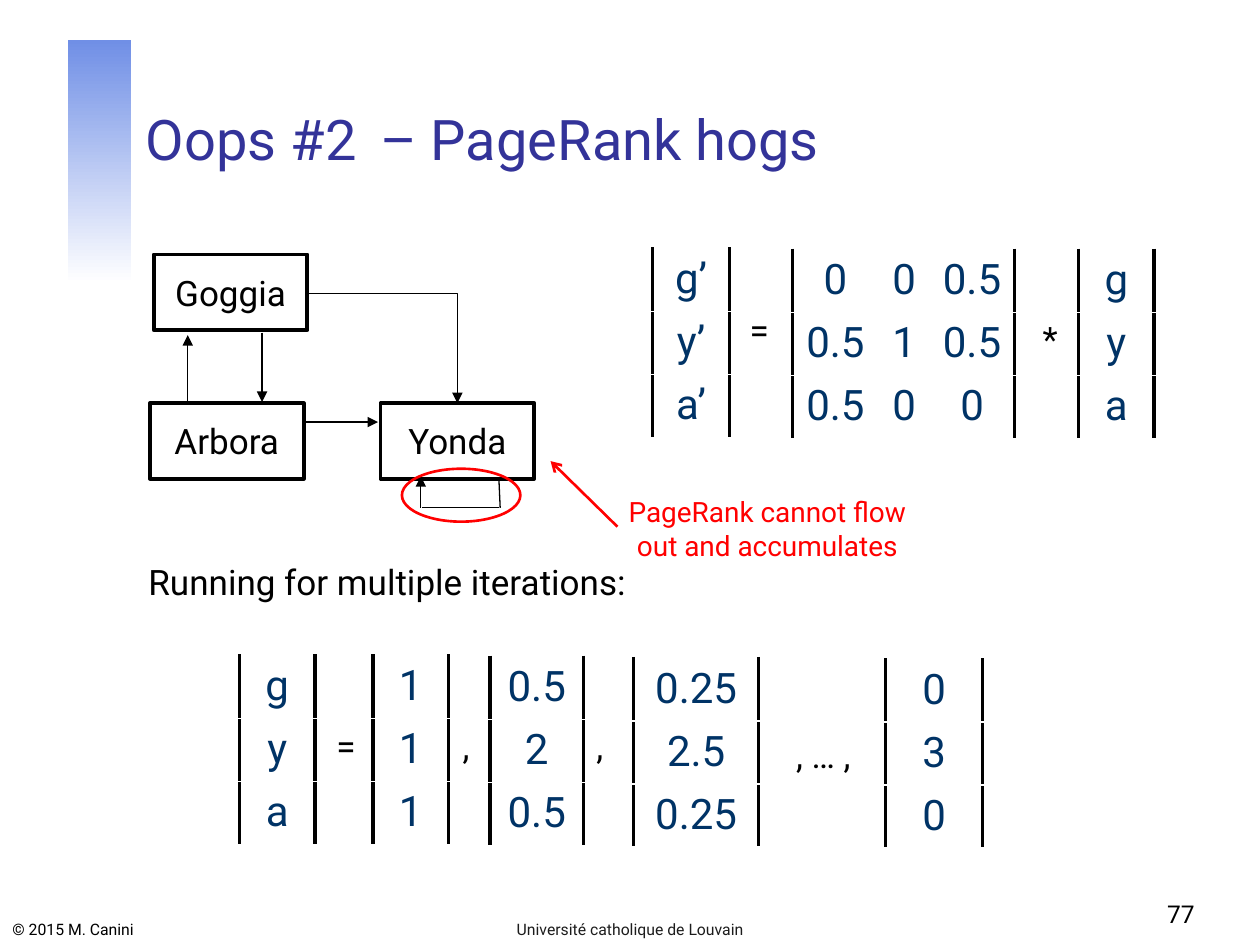
from lxml import etree
from pptx import Presentation
from pptx.dml.color import RGBColor
from pptx.enum.shapes import MSO_CONNECTOR as CONN, MSO_SHAPE as SHAPE
from pptx.enum.text import MSO_ANCHOR as ANCHOR, PP_ALIGN as ALIGN
from pptx.oxml.ns import qn
from pptx.util import Inches, Pt

COLORS = {"ink": "000000", "title": "333399", "value": "003366", "alert": "FF0000",
          "footer": "1C1C1C", "band": "708FE6", "paper": "FFFFFF"}
ROW_H = 0.5


def rgb(name):
    return RGBColor.from_string(COLORS[name])


def apply(obj, values):
    for name, value in values.items():
        setattr(obj, name, value)


def write(tf, text, size, color="ink", align=ALIGN.CENTER, anchor=ANCHOR.TOP, wrap=True):
    apply(tf, {"word_wrap": wrap, "vertical_anchor": anchor})
    p = tf.paragraphs[0]
    p.text = text
    p.alignment = align
    for r in p.runs:
        apply(r.font, {"name": "Roboto", "size": Pt(size), "bold": False})
        r.font.color.rgb = rgb(color)


def label(s, box, text, size=20, **kw):
    tb = s.shapes.add_textbox(*map(Inches, box))
    write(tb.text_frame, text, size, **kw)


def outline(s, kind, box, color, width):
    sp = s.shapes.add_shape(kind, *map(Inches, box))
    sp.shadow.inherit = False
    sp.fill.background()
    sp.line.color.rgb = rgb(color)
    sp.line.width = Pt(width)
    return sp


def connect(s, start, end, color="ink", width=0.75, tip="triangle", bent=False):
    kind = CONN.ELBOW if bent else CONN.STRAIGHT
    cn = s.shapes.add_connector(kind, *map(Inches, (*start, *end)))
    cn.line.color.rgb = rgb(color)
    cn.line.width = Pt(width)
    pr = cn._element.spPr
    if bent:
        pr.find(qn("a:prstGeom")).set("prst", "bentConnector2")
    if tip:
        etree.SubElement(pr.find(qn("a:ln")), qn("a:tailEnd"), type=tip)
    etree.SubElement(pr, qn("a:effectLst"))


def cell_border(cell, side):
    ln = etree.Element(qn(f"a:ln{side}"), w=str(Pt(2.25)))
    fill = etree.SubElement(ln, qn("a:solidFill"))
    etree.SubElement(fill, qn("a:srgbClr"), val=COLORS["ink"])
    cell._tc.get_or_add_tcPr().insert(0, ln)


def matrix(s, x, y, widths, rows):
    box = (x, y, sum(widths), ROW_H * len(rows))
    table = s.shapes.add_table(len(rows), len(widths), *map(Inches, box)).table
    apply(table, {"first_row": False, "horz_banding": False})
    for col, w in zip(table.columns, widths):
        col.width = Inches(w)
    for i, values in enumerate(rows):
        table.rows[i].height = Inches(ROW_H)
        for j, value in enumerate(values):
            cell = table.cell(i, j)
            apply(cell, {"margin_left": Inches(0.05), "margin_right": Inches(0.05)})
            cell.fill.background()
            write(cell.text_frame, value, 24, "value")
            if j == len(widths) - 1:
                cell_border(cell, "R")
            if j == 0:
                cell_border(cell, "L")


def frame(s, w, h):
    band = s.shapes.add_shape(SHAPE.RECTANGLE, *map(Inches, (0.54, 0.32, 0.5, 1.93)))
    band.shadow.inherit = False
    band.line.fill.background()
    band.fill.gradient()
    band.fill.gradient_angle = 270
    for stop, (pos, color) in zip(band.fill.gradient_stops, ((0, "band"), (1, "paper"))):
        stop.position = pos
        stop.color.rgb = rgb(color)
    low = {"anchor": ANCHOR.BOTTOM}
    for x, tw, text in ((1.06, 8.52, "Oops #2"), (2.92, 3.73, "– PageRank hogs")):
        label(s, (x, 0.73, tw, 0.68), text, 32, color="title", align=ALIGN.LEFT, **low)
    label(s, (0, h - 0.28, 3.02, 0.28), "© 2015 M. Canini", 9, align=ALIGN.LEFT, **low)
    label(s, (w / 2 - 1.58, h - 0.28, 3.16, 0.28), "Université catholique de Louvain", 9,
          color="footer", **low)
    label(s, (w - 2.5, h - 0.58, 2.08, 0.5), "77", 14, align=ALIGN.RIGHT, **low)


def link_graph(s, x, y):
    def at(dx, dy):
        return x + dx, y + dy

    for dx, dy, name in ((0.03, 0, "Goggia"), (0, 1.18, "Arbora"), (1.83, 1.18, "Yonda")):
        sp = outline(s, SHAPE.RECTANGLE, (*at(dx, dy), 1.22, 0.6), "ink", 2.25)
        write(sp.text_frame, name, 20, anchor=ANCHOR.MIDDLE, wrap=False)
    for start, end in (((0.3, 1.17), (0.3, 0.64)), ((0.89, 0.62), (0.89, 1.17)),
                       ((1.24, 1.33), (1.81, 1.33)), ((2.15, 2.01), (2.15, 1.76))):
        connect(s, at(*start), at(*end))
    for start, end in (((2.77, 1.79), (2.78, 2.01)), ((2.77, 2.01), (2.16, 2.01))):
        connect(s, at(*start), at(*end), tip=None)
    connect(s, at(1.25, 0.31), at(2.44, 1.18), bent=True)
    outline(s, SHAPE.OVAL, (*at(2, 1.7), 0.94, 0.42), "alert", 1.5)
    connect(s, at(3.71, 2.16), at(3.18, 1.64), "alert", 1.5, "arrow")
    label(s, (*at(3.66, 1.86), 2.48, 0.64), "PageRank cannot flow\vout and accumulates", 16,
          color="alert", wrap=False)


def equation(s, x, y):
    matrix(s, x, y, [0.61], [["g’"], ["y’"], ["a’"]])
    label(s, (x + 0.65, y + 0.43, 0.39, 0.5), "=", wrap=False)
    matrix(s, x + 1.11, y + 0.01, [0.68, 0.41, 0.67],
           [["0", "0", "0.5"], ["0.5", "1", "0.5"], ["0.5", "0", "0"]])
    label(s, (x + 2.97, y + 0.5, 0.37, 0.5), "*", wrap=False)
    matrix(s, x + 3.38, y + 0.01, [0.6], [["g"], ["y"], ["a"]])


def iterations(s, x, y):
    label(s, (x - 0.82, y - 0.8, 4.04, 0.44), "Running for multiple iterations:",
          align=ALIGN.LEFT, wrap=False)
    for dx, dy, w, values in ((0, 0, 0.6, "gya"), (1.06, 0, 0.6, "111"),
                              (1.99, 0.01, 0.74, ("0.5", "2", "0.5")),
                              (3.13, 0.02, 0.99, ("0.25", "2.5", "0.25")),
                              (5.13, 0.03, 0.77, "030")):
        matrix(s, x + dx, y + dy, [w], [[v] for v in values])
    for dx, dy, w, text in ((0.65, 0.5, 0.39, "="), (1.66, 0.5, 0.28, ","),
                            (2.72, 0.5, 0.28, ","), (4.23, 0.57, 0.81, ", … ,")):
        label(s, (x + dx, y + dy, w, 0.44), text)


def main():
    prs = Presentation()
    apply(prs, {"slide_width": Inches(10), "slide_height": Inches(7.5)})
    s = prs.slides.add_slide(prs.slide_layouts[6])
    frame(s, 10, 7.5)
    link_graph(s, 1.19, 2.02)
    equation(s, 5.18, 1.97)
    iterations(s, 1.9, 5.2)
    prs.save("out.pptx")


if __name__ == "__main__":
    main()
